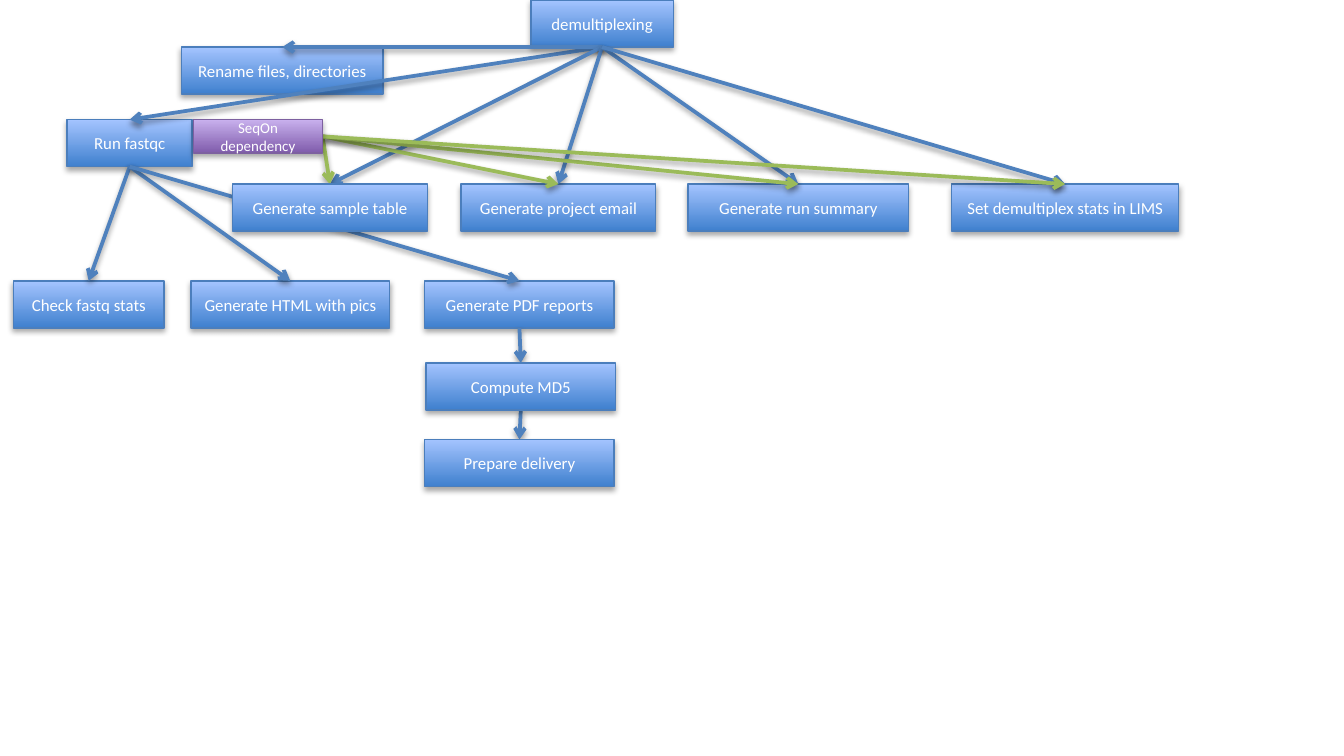
from lxml import etree
from pptx import Presentation
from pptx.dml.color import RGBColor
from pptx.enum.shapes import MSO_CONNECTOR, MSO_SHAPE
from pptx.enum.text import MSO_ANCHOR, PP_ALIGN
from pptx.oxml.ns import qn
from pptx.util import Inches, Pt

RECT, LINE = MSO_SHAPE.RECTANGLE, MSO_CONNECTOR.STRAIGHT
MID, CENTER = MSO_ANCHOR.MIDDLE, PP_ALIGN.CENTER
TOP, BOTTOM, RIGHT = 0, 2, 3
WIDE = 10
HIGH = WIDE * 9 / 16

THEME = {
    "font": "Calibri", "text": "FFFFFF", "edge": 0.75, "arrow": 2,
    "step": {"fill": ("3F80CE", "A4C4FF"), "line": "4B7EBC", "size": 9, "high": 0.35, "wrap": False},
    "need": {"fill": ("7F5BAB", "C8B0ED"), "line": "7D60A0", "size": 8, "high": 0.25, "wrap": True},
    "flow": "4F81BD", "wait": "9BBB59",
    "shade": {"box": (35, 1.8), "arrow": (38, 1.6), "blur": 3.1},
}
ROWS = (0, 0.35, 0.89, 1.37, 2.09, 2.7, 3.27)

BOXES = {
    "rename": ("Rename files, directories", 1, 1.35, 1.5, "step"),
    "html": ("Generate HTML with pics", 4, 1.42, 1.48, "step"),
    "fastqc": ("Run fastqc", 2, 0.5, 0.93, "step"),
    "demux": ("demultiplexing", 0, 3.95, 1.06, "step"),
    "stats": ("Set demultiplex stats in LIMS", 3, 7.08, 1.69, "step"),
    "check": ("Check fastq stats", 4, 0.1, 1.12, "step"),
    "run": ("Generate run summary", 3, 5.12, 1.64, "step"),
    "email": ("Generate project email", 3, 3.43, 1.45, "step"),
    "pdf": ("Generate PDF reports", 4, 3.16, 1.41, "step"),
    "md5": ("Compute MD5", 5, 3.17, 1.41, "step"),
    "send": ("Prepare delivery", 6, 3.16, 1.41, "step"),
    "need": ("SeqOn dependency", 2, 1.44, 0.96, "need"),
    "table": ("Generate sample table", 3, 1.73, 1.45, "step"),
}
REPORTS = ("table", "email", "run", "stats")
LINKS = (
    ("demux", BOTTOM, "flow", ("fastqc", "rename") + REPORTS),
    ("fastqc", BOTTOM, "flow", ("check", "html", "pdf")),
    ("pdf", BOTTOM, "flow", ("md5",)),
    ("md5", BOTTOM, "flow", ("send",)),
    ("need", RIGHT, "wait", REPORTS),
)
FRONT = ("md5", "send", "need", "table")


def color(code):
    return RGBColor.from_string(code)


def shade(effects, kind):
    alpha, dist = THEME["shade"][kind]
    outer = etree.SubElement(
        effects, qn("a:outerShdw"), blurRad=str(Pt(THEME["shade"]["blur"])),
        dist=str(Pt(dist)), dir="5400000", rotWithShape="0")
    black = etree.SubElement(outer, qn("a:srgbClr"), val="000000")
    etree.SubElement(black, qn("a:alpha"), val=str(alpha * 1000))


def add_box(slide, text, row, left, wide, kind):
    look = THEME[kind]
    box = slide.shapes.add_shape(
        RECT, Inches(left), Inches(ROWS[row]), Inches(wide), Inches(look["high"]))
    box.fill.gradient()
    box.fill.gradient_angle = 90
    for stop, code in zip(box.fill.gradient_stops, look["fill"]):
        stop.color.rgb = color(code)
    box.line.color.rgb = color(look["line"])
    box.line.width = Pt(THEME["edge"])
    box.shadow.inherit = False
    shade(box.element.spPr.find(qn("a:effectLst")), "box")
    frame = box.text_frame
    frame.word_wrap = look["wrap"]
    frame.vertical_anchor = MID
    para = frame.paragraphs[0]
    para.alignment = CENTER
    run = para.add_run()
    run.text = text
    run.font.name = THEME["font"]
    run.font.size = Pt(look["size"])
    run.font.color.rgb = color(THEME["text"])
    return box


def add_arrow(slide, start, side, end, code):
    arrow = slide.shapes.add_connector(LINE, 0, 0, 0, 0)
    arrow.begin_connect(start, side)
    arrow.end_connect(end, TOP)
    arrow.line.color.rgb = color(code)
    arrow.line.width = Pt(THEME["arrow"])
    props = arrow.element.spPr
    etree.SubElement(props.find(qn("a:ln")), qn("a:tailEnd"), type="arrow")
    shade(etree.SubElement(props, qn("a:effectLst")), "arrow")


deck = Presentation()
deck.slide_width, deck.slide_height = Inches(WIDE), Inches(HIGH)
slide = deck.slides.add_slide(deck.slide_layouts[6])

boxes = {name: add_box(slide, *data) for name, data in BOXES.items()}
for start, side, kind, ends in LINKS:
    for end in ends:
        add_arrow(slide, boxes[start], side, boxes[end], THEME[kind])
for name in FRONT:
    item = boxes[name].element
    item.getparent().append(item)

deck.save("out.pptx")
